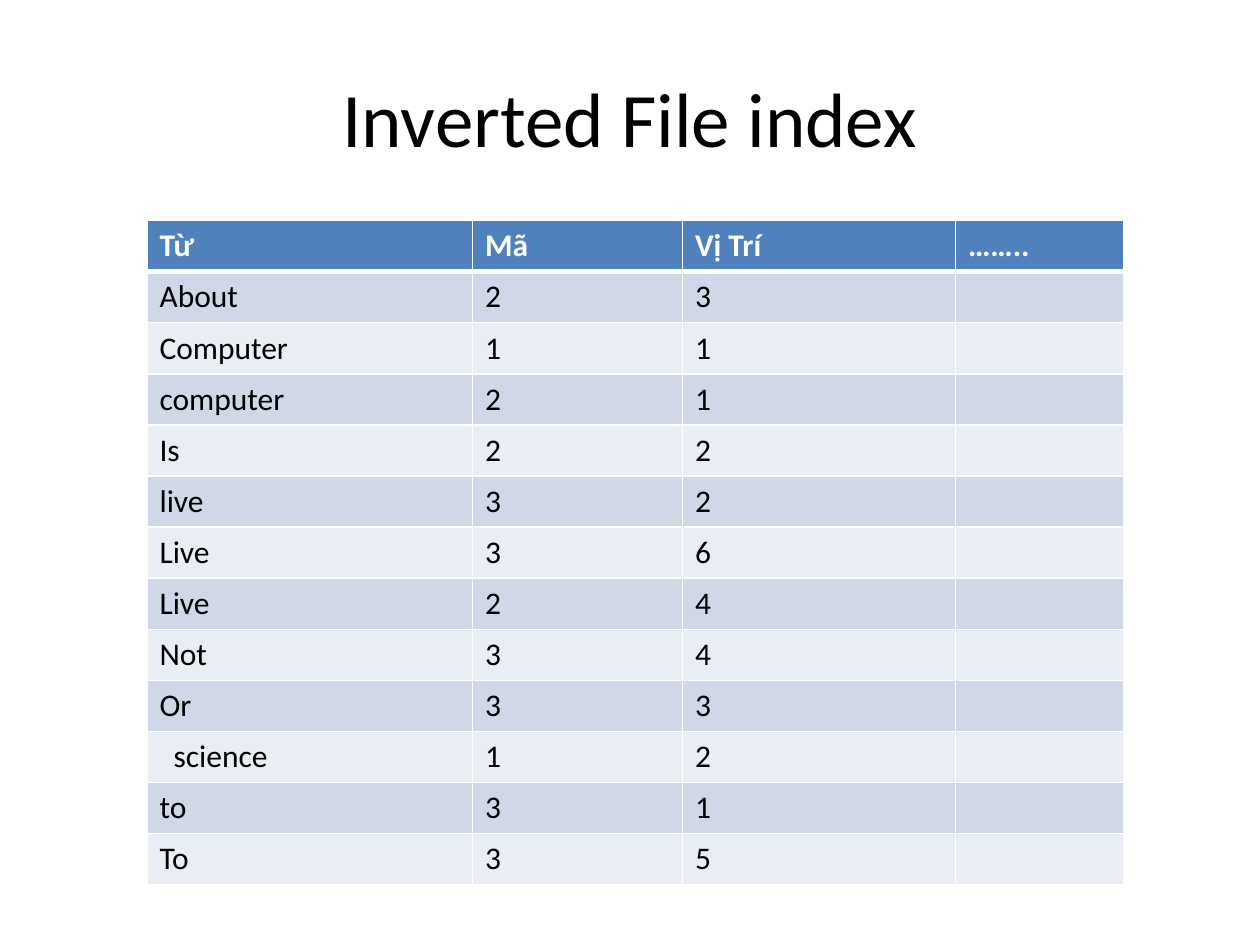
from lxml import etree
from pptx import Presentation
from pptx.dml.color import RGBColor
from pptx.enum.text import MSO_ANCHOR, PP_ALIGN
from pptx.oxml.ns import qn
from pptx.util import Pt

MIDDLE = MSO_ANCHOR.MIDDLE
CENTER = PP_ALIGN.CENTER

# Content
TITLE = "Inverted File index"
HEADER = ("Từ", "Mã", "Vị Trí", "……..")
ENTRIES = [
    ("About", 2, 3),
    ("Computer", 1, 1),
    ("computer", 2, 1),
    ("Is", 2, 2),
    ("live", 3, 2),
    ("Live", 3, 6),
    ("Live", 2, 4),
    ("Not", 3, 4),
    ("Or", 3, 3),
    ("science", 1, 2),
    ("to", 3, 1),
    ("To", 3, 5),
]
INDENTED_WORD, INDENT = "science", 8

# Layout and formats, in points
TITLE_BOX = (36, 21.6, 648, 90)
TABLE_LEFT, TABLE_TOP = 84, 126
COLUMN_WIDTHS = (186, 120, 156, 96)
ROW_HEIGHT = 29.2
CELL_MARGIN = 7.2
THIN, THICK = 1, 3
HEADER_FILL, BAND_FILLS, BORDER = "4F81BD", ("D0D8E8", "E9EDF4"), "FFFFFF"
TITLE_FONT = {"name": "Calibri", "size": Pt(44), "color": "000000"}
HEADER_FONT = {"name": "Calibri", "size": Pt(18), "bold": True, "color": "FFFFFF"}
BODY_FONT = {"name": "Calibri", "size": Pt(18), "bold": False, "color": "000000"}


def color(value):
    return RGBColor.from_string(value)


def set_font(font, formats):
    for name, value in formats.items():
        if name == "color":
            font.color.rgb = color(value)
        else:
            setattr(font, name, value)


def set_borders(cell, widths):
    properties = cell._tc.get_or_add_tcPr()
    for side, width in widths.items():
        line = etree.SubElement(properties, qn(f"a:ln{side}"), w=str(Pt(width)))
        fill = etree.SubElement(line, qn("a:solidFill"))
        etree.SubElement(fill, qn("a:srgbClr"), val=BORDER)


def add_title(slide):
    frame = slide.shapes.add_textbox(*map(Pt, TITLE_BOX)).text_frame
    frame.word_wrap = True
    frame.vertical_anchor = MIDDLE
    paragraph = frame.paragraphs[0]
    paragraph.text = TITLE
    paragraph.alignment = CENTER
    set_font(paragraph.runs[0].font, TITLE_FONT)


def add_index_table(slide):
    rows = [HEADER] + [(*entry, "") for entry in ENTRIES]
    table = slide.shapes.add_table(
        len(rows), len(HEADER), Pt(TABLE_LEFT), Pt(TABLE_TOP),
        Pt(sum(COLUMN_WIDTHS)), Pt(ROW_HEIGHT * len(rows))).table
    for column, width in zip(table.columns, COLUMN_WIDTHS):
        column.width = Pt(width)

    for row_index, values in enumerate(rows):
        table.rows[row_index].height = Pt(ROW_HEIGHT)
        is_header = row_index == 0
        fill = HEADER_FILL if is_header else BAND_FILLS[(row_index - 1) % 2]
        # The thick rule lies between the header and the first entry
        borders = {"L": THIN, "R": THIN,
                   "T": THICK if row_index == 1 else THIN,
                   "B": THICK if is_header else THIN}
        for column_index, value in enumerate(values):
            cell = table.cell(row_index, column_index)
            set_borders(cell, borders)
            cell.fill.solid()
            cell.fill.fore_color.rgb = color(fill)
            cell.text = str(value)
            set_font(cell.text_frame.paragraphs[0].font,
                     HEADER_FONT if is_header else BODY_FONT)
            for run in cell.text_frame.paragraphs[0].runs:
                set_font(run.font, HEADER_FONT if is_header else BODY_FONT)
            if value == INDENTED_WORD:
                cell.margin_left = Pt(CELL_MARGIN + INDENT)


def main():
    presentation = Presentation()
    presentation.slide_width, presentation.slide_height = Pt(720), Pt(540)
    slide = presentation.slides.add_slide(presentation.slide_layouts[6])
    add_title(slide)
    add_index_table(slide)
    presentation.save("out.pptx")


if __name__ == "__main__":
    main()
